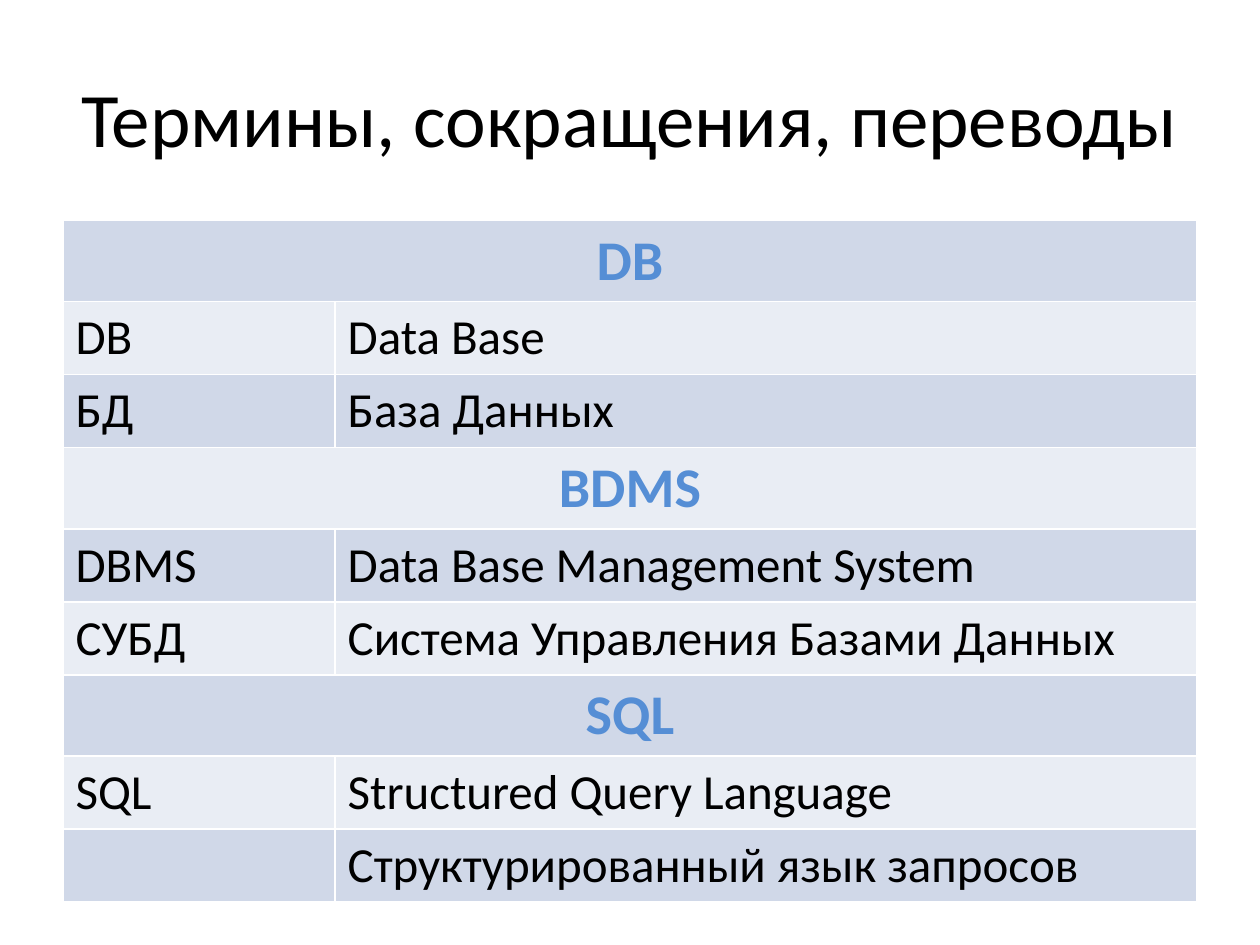
"""Build a slide with a table of database terms, abbreviations and translations."""
from pptx import Presentation
from pptx import util as u
from pptx.dml.color import RGBColor
from pptx.enum import text


def format_text(frame, size, color, bold, alignment):
    paragraph = frame.paragraphs[0]
    paragraph.alignment = alignment
    for run in paragraph.runs:
        run.font.name = "Calibri"
        run.font.size = u.Pt(size)
        run.font.bold = bold
        run.font.color.rgb = RGBColor.from_string(color)


presentation = Presentation()
presentation.slide_width = u.Inches(10)
presentation.slide_height = u.Inches(7.5)
slide = presentation.slides.add_slide(presentation.slide_layouts[5])

title = slide.shapes.title
title.left, title.top = u.Inches(0.5), u.Inches(0.3)
title.width, title.height = u.Inches(9), u.Inches(1.25)
title.text_frame.text = "Термины, сокращения, переводы"
title.text_frame.vertical_anchor = text.MSO_ANCHOR.MIDDLE
format_text(title.text_frame, 44, "000000", False, text.PP_ALIGN.CENTER)

rows = [
    ("DB",),
    ("DB", "Data Base"),
    ("БД", "База Данных"),
    ("BDMS",),
    ("DBMS", "Data Base Management System"),
    ("СУБД", "Система Управления Базами Данных"),
    ("SQL",),
    ("SQL", "Structured Query Language"),
    ("", "Структурированный язык запросов"),
]
band_colors = ["D0D8E8", "E9EDF4"]

table = slide.shapes.add_table(
    len(rows), 2, u.Inches(0.5), u.Inches(1.75), u.Inches(9), u.Inches(5.4)
).table
table.first_row = False
table.columns[0].width = u.Inches(2.16)
table.columns[1].width = u.Inches(6.84)

for row_index, values in enumerate(rows):
    is_heading = len(values) == 1
    table.rows[row_index].height = u.Inches(0.64 if is_heading else 0.58)
    for cell in table.rows[row_index].cells:
        cell.fill.solid()
        cell.fill.fore_color.rgb = RGBColor.from_string(band_colors[row_index % 2])
        cell.vertical_anchor = text.MSO_ANCHOR.MIDDLE
    if is_heading:
        table.cell(row_index, 0).merge(table.cell(row_index, 1))
    for column_index, value in enumerate(values):
        frame = table.cell(row_index, column_index).text_frame
        frame.text = value
        if is_heading:
            format_text(frame, 32, "558ED5", True, text.PP_ALIGN.CENTER)
        else:
            format_text(frame, 28, "000000", False, text.PP_ALIGN.LEFT)

presentation.save("out.pptx")
